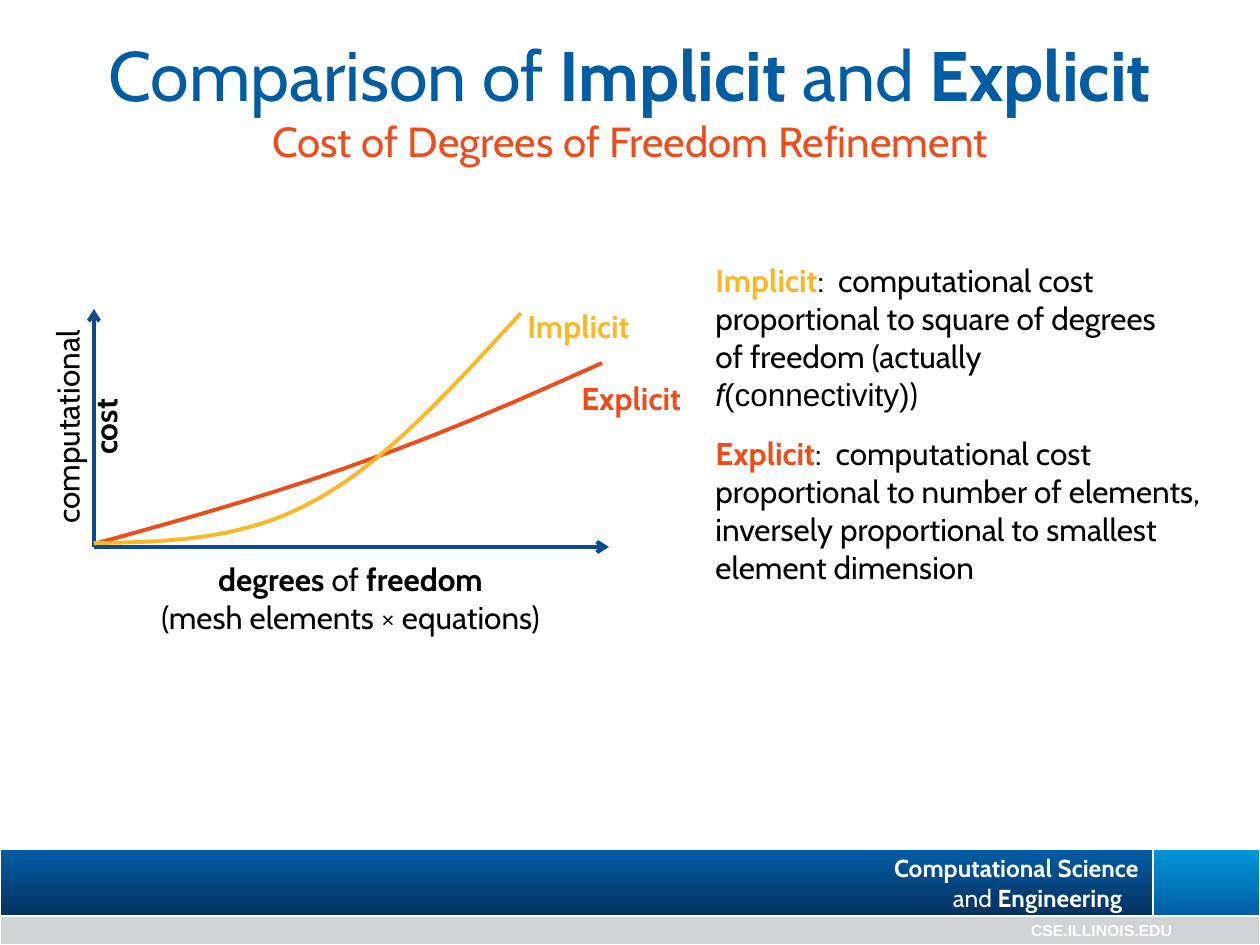
from lxml.etree import SubElement
from pptx import Presentation
from pptx.dml.color import RGBColor
from pptx.enum.shapes import MSO_CONNECTOR, MSO_SHAPE
from pptx.enum.text import MSO_ANCHOR, PP_ALIGN
from pptx.oxml.ns import qn
from pptx.util import Pt

SCALE = 914400 / 126
BLUE = RGBColor(0x00, 0x5D, 0xA4)
NAVY = RGBColor(0x05, 0x30, 0x61)
SKY = RGBColor(0x00, 0x95, 0xDA)
AXIS_BLUE = RGBColor(0x0E, 0x4A, 0x91)
ORANGE = RGBColor(0xEC, 0x4E, 0x1B)
GOLD = RGBColor(0xFA, 0xB8, 0x28)
GRAY = RGBColor(0xD1, 0xD3, 0xD4)
BLACK = RGBColor(0x00, 0x00, 0x00)
WHITE = RGBColor(0xFF, 0xFF, 0xFF)


def px(value):
    return round(value * SCALE)


def write(shape, paragraphs, size, align=PP_ALIGN.LEFT, anchor=MSO_ANCHOR.TOP, wrap=True):
    frame = shape.text_frame
    frame.word_wrap = wrap
    frame.vertical_anchor = anchor
    for index, runs in enumerate(paragraphs):
        paragraph = frame.paragraphs[0] if index == 0 else frame.add_paragraph()
        paragraph.alignment = align
        for text, color, style in runs:
            run = paragraph.add_run()
            run.text = text
            run.font.name = "Arial" if "arial" in style else "Cabin"
            run.font.size = Pt(size)
            run.font.bold = "bold" in style
            run.font.italic = "italic" in style
            run.font.color.rgb = color
    return frame


presentation = Presentation()
presentation.slide_width = px(1260)
presentation.slide_height = px(945)
slide = presentation.slides.add_slide(presentation.slide_layouts[6])
shapes = slide.shapes

bars = []
for left, top, width, height, colors in [
    (0, 849, 1153, 67, (BLUE, NAVY)),
    (1153, 849, 107, 67, (SKY, BLUE)),
    (0, 916, 1260, 29, (GRAY,)),
]:
    bar = shapes.add_shape(MSO_SHAPE.RECTANGLE, px(left), px(top), px(width), px(height))
    bar.shadow.inherit = False
    bar.line.color.rgb = WHITE
    bar.line.width = Pt(1.45)
    if len(colors) == 2:
        bar.fill.gradient()
        bar.fill.gradient_angle = 270
        for stop, color in zip(bar.fill.gradient_stops, colors):
            stop.color.rgb = color
    else:
        bar.fill.solid()
        bar.fill.fore_color.rgb = colors[0]
    bars.append(bar)

department = write(bars[0], [
    [("Computational Science", WHITE, "bold")],
    [("and ", WHITE, ""), ("Engineering", WHITE, "bold")],
], 14, anchor=MSO_ANCHOR.MIDDLE)
department.margin_left = px(894)
department.margin_right = 0
department.paragraphs[1]._p.get_or_add_pPr().set("marL", str(px(59)))

address = write(bars[2], [[("CSE.ILLINOIS.EDU", WHITE, "bold arial")]], 9,
                PP_ALIGN.RIGHT, MSO_ANCHOR.MIDDLE)
address.margin_right = px(88)

title = write(shapes.add_textbox(0, px(25), px(1260), px(97)), [
    [("Comparison of ", BLUE, ""), ("Implicit", BLUE, "bold"),
     (" and ", BLUE, ""), ("Explicit", BLUE, "bold")],
    [("Cost of Degrees of Freedom Refinement", ORANGE, "")],
], 40, PP_ALIGN.CENTER)
title.paragraphs[1].runs[0].font.size = Pt(24)

for top, width, runs in [
    (428, 525, [
        ("Explicit", ORANGE, "bold"),
        (":  computational cost proportional to number of elements, "
         "inversely proportional to smallest element dimension", BLACK, ""),
    ]),
    (255, 494, [
        ("Implicit", GOLD, "bold"),
        (":  computational cost proportional to square of degrees "
         "of freedom (actually ", BLACK, ""),
        ("f", BLACK, "italic arial"),
        ("(connectivity)", BLACK, "arial"),
        (")", BLACK, ""),
    ]),
]:
    write(shapes.add_textbox(px(703), px(top), px(width), px(164)), [runs], 18,
          anchor=MSO_ANCHOR.MIDDLE)

for end_x, end_y in [(609, 547), (94, 309)]:
    axis = shapes.add_connector(MSO_CONNECTOR.STRAIGHT, px(94), px(547), px(end_x), px(end_y))
    axis.line.color.rgb = AXIS_BLUE
    axis.line.width = Pt(2.25)
    SubElement(axis.line._get_or_add_ln(), qn("a:tailEnd")).set("type", "arrow")
    SubElement(axis._element.spPr, qn("a:effectLst"))

STEPS = 24
for color, knots in [
    (ORANGE, [(94, 544), (185, 519), (277, 493), (362, 462), (447, 432), (524, 398), (602, 363)]),
    (GOLD, [(94, 543), (168, 542), (242, 540), (312, 502), (384, 464), (452, 388), (521, 313)]),
]:
    points = []
    for first in (0, 3):
        for step in range(1, STEPS + 1):
            t = step / STEPS
            weights = ((1 - t) ** 3, 3 * t * (1 - t) ** 2, 3 * t ** 2 * (1 - t), t ** 3)
            points.append(tuple(
                px(sum(weight * knot[axis] for weight, knot in zip(weights, knots[first:first + 4])))
                for axis in (0, 1)
            ))
    builder = shapes.build_freeform(px(knots[0][0]), px(knots[0][1]))
    builder.add_line_segments(points, close=False)
    curve = builder.convert_to_shape()
    curve.shadow.inherit = False
    curve.fill.background()
    curve.line.color.rgb = color
    curve.line.width = Pt(2.25)

cost_label = shapes.add_textbox(px(-33), px(383), px(238), px(88))
cost_label.rotation = 270
write(cost_label, [[("computational", BLACK, ""), (" cost", BLACK, "bold")]], 18, PP_ALIGN.CENTER)

write(shapes.add_textbox(px(93), px(554), px(515), px(88)), [
    [("degrees ", BLACK, "bold"), ("of", BLACK, ""), (" freedom", BLACK, "bold")],
    [("(mesh elements × equations)", BLACK, "")],
], 18, PP_ALIGN.CENTER)

for name, color, left, top, width in [
    ("Explicit", ORANGE, 569, 373, 140),
    ("Implicit", GOLD, 515, 301, 146),
]:
    write(shapes.add_textbox(px(left), px(top), px(width), px(50)),
          [[(name, color, "bold")]], 18, wrap=False)

presentation.save("out.pptx")
